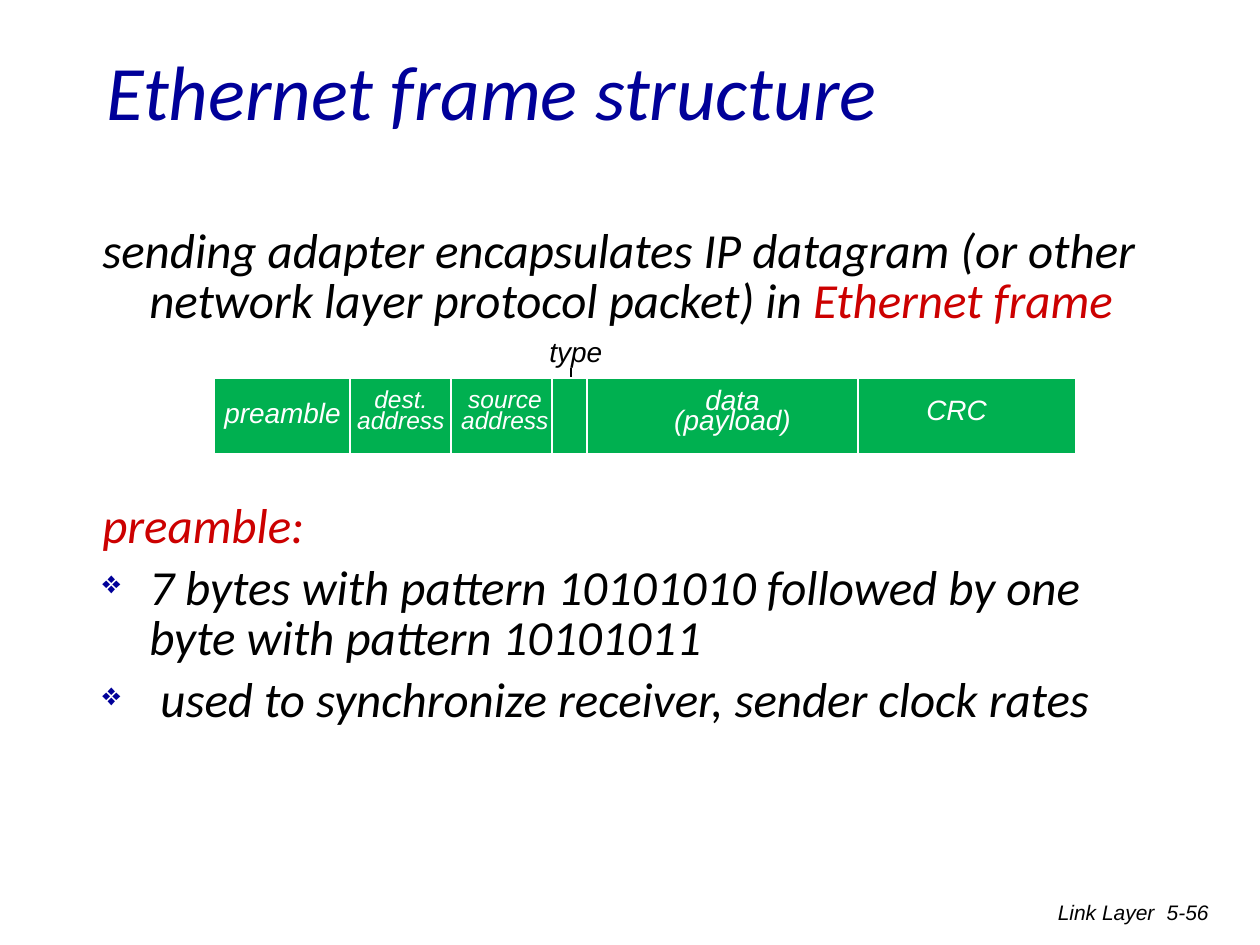
from lxml.etree import SubElement
from pptx import Presentation
from pptx.dml.color import RGBColor
from pptx.enum.shapes import MSO_CONNECTOR, MSO_SHAPE
from pptx.enum.text import MSO_ANCHOR, MSO_AUTO_SIZE, PP_ALIGN
from pptx.oxml.ns import qn
from pptx.util import Emu, Pt

PX = 914400 / 126
COLORS = {"navy": "000099", "red": "CC0000", "green": "00B050",
          "black": "000000", "white": "FFFFFF"}


def px(value):
    return Emu(round(value * PX))


def color(name):
    return RGBColor.from_string(COLORS[name])


class SlideBuilder:
    heading_font = "Calibri"
    label_font = "Arial"

    def __init__(self, slide):
        self.slide = slide

    def place(self, shape, box):
        for name, value in zip(("left", "top", "width", "height"), box):
            setattr(shape, name, px(value))

    def format_font(self, font, face, size, tint):
        values = {"name": face, "size": Pt(size), "italic": True}
        for name, value in values.items():
            setattr(font, name, value)
        font.color.rgb = color(tint)

    def frame(self, box):
        frame = self.slide.shapes.add_textbox(*map(px, box)).text_frame
        frame.word_wrap = True
        return frame

    def title(self, text, box):
        shape = self.slide.shapes.title
        self.place(shape, box)
        frame = shape.text_frame
        frame.text = text
        frame.auto_size = MSO_AUTO_SIZE.NONE
        frame.vertical_anchor = MSO_ANCHOR.MIDDLE
        paragraph = frame.paragraphs[0]
        paragraph.alignment = PP_ALIGN.LEFT
        self.format_font(paragraph.runs[0].font, self.heading_font, 44, "navy")

    def label(self, text, box, size=16, tint="white", align=PP_ALIGN.CENTER,
              spacing=None):
        frame = self.frame(box)
        frame.text = text
        for paragraph in frame.paragraphs:
            paragraph.alignment = align
            paragraph.line_spacing = spacing
            self.format_font(paragraph.runs[0].font, self.label_font, size, tint)

    def body(self, items, box):
        frame = self.frame(box)
        for index, (space, bullet, runs) in enumerate(items):
            paragraph = frame.add_paragraph() if index else frame.paragraphs[0]
            paragraph.line_spacing = 0.85
            paragraph.space_before = Pt(space)
            properties = paragraph._p.get_or_add_pPr()
            properties.set("marL", str(px(47)))
            properties.set("indent", str(-px(47)))
            if bullet:
                self.bullet(properties)
            for text, tint in runs:
                run = paragraph.add_run()
                run.text = text
                self.format_font(run.font, self.heading_font, 28, tint)

    def bullet(self, properties):
        tint = SubElement(properties, qn("a:buClr"))
        SubElement(tint, qn("a:srgbClr"), val=COLORS["navy"])
        SubElement(properties, qn("a:buSzPct"), val="65000")
        SubElement(properties, qn("a:buChar"), char="❖")

    def rectangle(self, box, fill, line):
        shape = self.slide.shapes.add_shape(MSO_SHAPE.RECTANGLE, *map(px, box))
        shape.shadow.inherit = False
        shape.fill.solid()
        shape.fill.fore_color.rgb = color(fill)
        shape.line.color.rgb = color(line)
        shape.line.width = Pt(0.75)

    def vertical(self, x, top, bottom, tint, width):
        line = self.slide.shapes.add_connector(
            MSO_CONNECTOR.STRAIGHT, px(x), px(top), px(x), px(bottom))
        line.line.color.rgb = color(tint)
        line.line.width = Pt(width)
        SubElement(line._element.spPr, qn("a:effectLst"))


def main():
    presentation = Presentation()
    presentation.slide_width = px(1260)
    presentation.slide_height = px(945)
    slide = presentation.slides.add_slide(presentation.slide_layouts[5])
    builder = SlideBuilder(slide)

    # Title and body
    builder.title("Ethernet frame structure", (94, 48, 1071, 84))
    builder.body([
        (0, False, [("sending adapter encapsulates IP datagram (or other "
                     "network layer protocol packet) in ", "black"),
                    ("Ethernet frame", "red")]),
        (100, False, [("preamble:", "red")]),
        (7, True, [("7 bytes with pattern 10101010 followed by one byte "
                    "with pattern 10101011", "black")]),
        (7, True, [(" used to synchronize receiver, sender clock rates",
                    "black")]),
    ], (90, 222, 1071, 598))

    # Frame bar with its field dividers
    top, height = 378, 76
    builder.vertical(571, 368, 396, "black", 0.75)
    builder.rectangle((214, top, 862, height), "green", "white")
    for x in (350, 451, 552, 587, 858):
        builder.vertical(x, top, top + height, "white", 1.5)

    # Field names
    fields = [
        ("preamble", (209, 402, 147, 34), 16),
        ("dest.\naddress", (343, 387, 116, 54), 14),
        ("source\naddress", (447, 387, 116, 54), 14),
        ("data (payload)", (638, 389, 189, 54), 16),
        ("CRC", (898, 399, 117, 34), 16),
    ]
    for text, box, size in fields:
        builder.label(text, box, size, spacing=Pt(11.7))
    builder.label("type", (537, 328, 106, 47), 16, "black", PP_ALIGN.LEFT)

    # Footer
    for text, box in [("Link Layer", (767, 893, 400, 63)),
                      ("5-56", (1128, 893, 93, 63))]:
        builder.label(text, box, 12, "black", PP_ALIGN.RIGHT)

    presentation.save("out.pptx")


if __name__ == "__main__":
    main()
